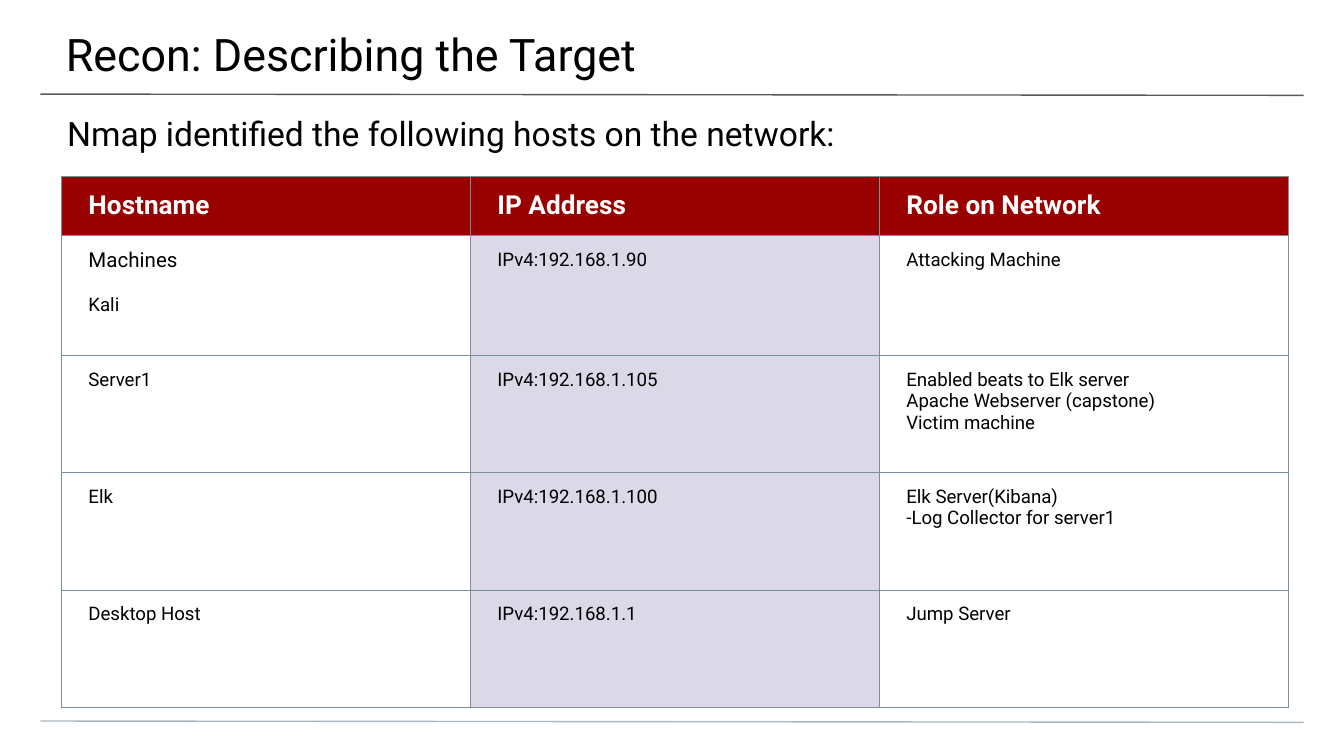
"""Build a slide that lists the hosts found on the network."""
from lxml.etree import SubElement
from pptx import Presentation
from pptx.dml.color import RGBColor as RGB
from pptx.enum.shapes import MSO_CONNECTOR as LINK
from pptx.enum.text import MSO_ANCHOR as ANCHOR, MSO_AUTO_SIZE as FIT, PP_ALIGN as ALIGN
from pptx.oxml import parse_xml
from pptx.oxml.ns import nsdecls, qn
from pptx.util import Pt

TITLE = "Recon: Describing the Target"
INTRO = "Nmap identified the following hosts on the network:"
HEADS = ["Hostname", "IP Address", "Role on Network"]
HOSTS = [
    (["Machines", "Kali"], ["IPv4:192.168.1.90"], ["Attacking Machine"]),
    (["Server1"], ["IPv4:192.168.1.105"],
     ["Enabled beats to Elk server", "Apache Webserver (capstone)", "Victim machine"]),
    (["Elk"], ["IPv4:192.168.1.100"], ["Elk Server(Kibana)", "-Log Collector for server1"]),
    (["Desktop Host"], ["IPv4:192.168.1.1"], ["Jump Server"]),
]

FONT = "Roboto"
BLACK = RGB(0, 0, 0)
WHITE = RGB(255, 255, 255)
RED = RGB(0x99, 0, 0)
LILAC = RGB(0xDB, 0xD9, 0xE8)
GREY = RGB(0x59, 0x59, 0x59)
PALE = RGB(0xA9, 0xB7, 0xC0)
EDGE = RGB(0x78, 0x90, 0x9C)

WIDE, HIGH = 720, 405
LEFT, TOP, COL = 33, 94.6, 219.1
ROWS = [31.5, 64.3, 62.8, 63, 62.8]
RULES = [(50.4, 51.1, GREY), (386.3, 387, PALE)]


def write(frame, lines, size=10, color=BLACK, bold=False, gap=0):
    for i, line in enumerate(lines):
        para = frame.paragraphs[0] if i == 0 else frame.add_paragraph()
        para.alignment = ALIGN.LEFT
        if i and gap:
            para.space_before = Pt(gap)
        run = para.add_run()
        run.text = line
        font = run.font
        font.name, font.size, font.bold = FONT, Pt(size), bold
        font.color.rgb = color


def place(shape, box, pads):
    shape.left, shape.top, shape.width, shape.height = map(Pt, box)
    frame = shape.text_frame
    frame.word_wrap, frame.auto_size = True, FIT.NONE
    frame.vertical_anchor = ANCHOR.TOP
    pad(frame, pads)
    return frame


def pad(item, pads):
    (item.margin_left, item.margin_top,
     item.margin_right, item.margin_bottom) = map(Pt, pads)


def edge(cell):
    props = cell._tc.get_or_add_tcPr()
    for i, side in enumerate("LRTB"):
        props.insert(i, parse_xml(
            f'<a:ln{side} {nsdecls("a")} w="{Pt(0.75)}"><a:solidFill>'
            f'<a:srgbClr val="{EDGE}"/></a:solidFill></a:ln{side}>'))


def rule(slide, start, end, color):
    line = slide.shapes.add_connector(LINK.STRAIGHT, Pt(21.6), Pt(start), Pt(698.4), Pt(end))
    line.line.color.rgb, line.line.width = color, Pt(0.75)
    SubElement(line._element.spPr, qn("a:effectLst"))


def grid(slide):
    table = slide.shapes.add_table(
        len(ROWS), len(HEADS), Pt(LEFT), Pt(TOP),
        Pt(COL * len(HEADS)), Pt(sum(ROWS))).table
    table.horz_banding = False
    for col in table.columns:
        col.width = Pt(COL)
    for row, high in zip(table.rows, ROWS):
        row.height = Pt(high)
    for r, texts in enumerate([[[head] for head in HEADS], *HOSTS]):
        for c, lines in enumerate(texts):
            cell = table.cell(r, c)
            pad(cell, (14.4, 7.2, 14.4, 7.2))
            if r == 0 or c == 1:
                cell.fill.solid()
                cell.fill.fore_color.rgb = LILAC if r else RED
            else:
                cell.fill.background()
            edge(cell)
            if r == 0:
                cell.vertical_anchor = ANCHOR.MIDDLE
                write(cell.text_frame, lines, size=14, color=WHITE, bold=True)
            else:
                write(cell.text_frame, lines, gap=11.7 if r == 1 else 0)
    table.cell(1, 0).text_frame.paragraphs[0].runs[0].font.size = Pt(11)


def main():
    deck = Presentation()
    deck.slide_width, deck.slide_height = Pt(WIDE), Pt(HIGH)
    slide = deck.slides.add_slide(deck.slide_layouts[5])
    for start, end, color in RULES:
        rule(slide, start, end, color)
    head = place(slide.shapes.title, (-0.7, 0, 722, 42), (36, 14.4, 21.6, 7.2))
    write(head, [TITLE], size=24)
    box = slide.shapes.add_textbox(0, 0, 0, 0)
    write(place(box, (0, 53.3, WIDE, 28.8), (36, 7.2, 36, 0)), [INTRO], size=18)
    grid(slide)
    deck.save("out.pptx")


if __name__ == "__main__":
    main()
